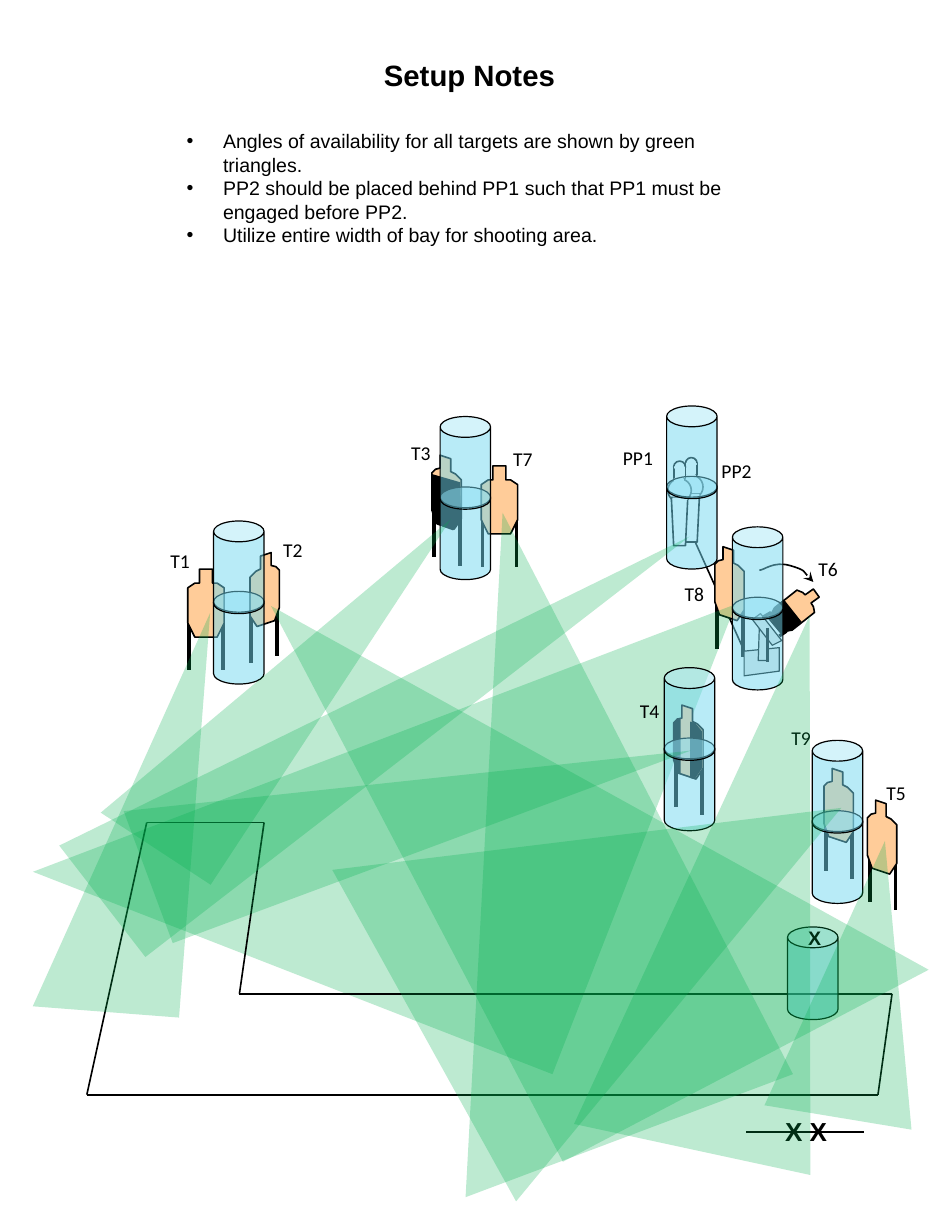
"""Build the stage setup notes slide with its target and visibility diagram."""
from lxml import etree
from pptx import Presentation
from pptx.dml.color import RGBColor
from pptx.enum.shapes import MSO_CONNECTOR, MSO_SHAPE
from pptx.enum.text import MSO_ANCHOR, PP_ALIGN
from pptx.oxml.ns import qn
from pptx.util import Inches, Pt

STRAIGHT = MSO_CONNECTOR.STRAIGHT
CAN, TRIANGLE = MSO_SHAPE.CAN, MSO_SHAPE.ISOSCELES_TRIANGLE
OVAL, RECT = MSO_SHAPE.OVAL, MSO_SHAPE.RECTANGLE
LEFT, CENTER, TOP = PP_ALIGN.LEFT, PP_ALIGN.CENTER, MSO_ANCHOR.TOP
BLACK, WHITE = RGBColor(0, 0, 0), RGBColor(255, 255, 255)
TAN, GRAY = RGBColor(0xFF, 0xCC, 0x99), RGBColor(0xE7, 0xE6, 0xE6)
BLUE, GREEN = RGBColor(0x73, 0xD9, 0xF1), RGBColor(0x00, 0xB0, 0x50)

TITLE = "Setup Notes"
NOTES = [
    "Angles of availability for all targets are shown by green triangles.",
    "PP2 should be placed behind PP1 such that PP1 must be engaged before PP2.",
    "Utilize entire width of bay for shooting area.",
]

FRONT = [(.1, 0), (.21, 0), (.21, .12), (.25, .12), (.31, .16), (.31, .46), (.25, .58),
         (.06, .58), (0, .46), (0, .16), (.06, .12), (.1, .12)]
ANGLED = [(.16, .03), (.07, 0), (.07, .11), (.03, .12), (0, .15), (0, .47), (.04, .58),
          (.19, .63), (.25, .54), (.25, .21), (.2, .16), (.16, .14)]
MIRRORED = [(.25 - x, y) for x, y in ANGLED]
TARGETS = {
    "front": (FRONT, [(.01, .43), (.3, .43)]),
    "angled": (ANGLED, [(.24, .51), (.02, .44)]),
    "mirrored": (MIRRORED, [(.01, .51), (.23, .45)]),
}
LOWER_BLACK = [(.25, .55), (.18, .64), (.04, .59), (0, .46), (0, .16), (.24, .23)]
RIGHT_BLACK = [(.24, .54), (.18, .63), (.14, .62), (.14, .14), (.18, .15), (.24, .22)]
LEFT_BLACK = [(.06, .11), (.03, .11), (0, .15), (0, .46), (.03, .57), (.06, .59)]

STAND = [
    [(6.64, 5.52), (6.34, 5.55), (6.34, 5.76), (6.64, 5.72)],
    [(6.54, 5.41), (6.54, 5.63), (6.46, 5.63), (6.47, 5.33)],
    [(6.48, 5.23), (6.66, 5.46), (6.58, 5.5), (6.41, 5.28)],
]
STAND_RODS = [((6.57, 5.22), (6.5, 5.26), 2), ((6.7, 5.38), (6.64, 5.42), 2),
              ((6.54, 5.35), (6.54, 5.64), 2.25)]
SWING = [(6.47, 4.86), (6.51, 4.86), (6.59, 4.78), (6.73, 4.82),
         (6.87, 4.86), (6.89, 4.93), (6.93, 4.96)]
FALLEN = [(6.93, 5.02), (6.98, 5.09), (6.91, 5.14), (6.93, 5.17), (6.94, 5.22), (6.75, 5.37),
          (6.65, 5.39), (6.55, 5.27), (6.6, 5.18), (6.79, 5.03), (6.84, 5.05), (6.86, 5.07)]
FALLEN_BLACK = [(6.68, 5.11), (6.83, 5.3), (6.75, 5.37), (6.65, 5.39), (6.56, 5.27), (6.6, 5.18)]
BAY = [(.74, 9.33), (7.48, 9.33), (7.6, 8.47), (2.04, 8.47), (2.25, 7.01), (1.25, 7.01),
       (.74, 9.33)]

prs = Presentation()
prs.slide_width, prs.slide_height = Inches(8), Inches(10.5)
slide = prs.slides.add_slide(prs.slide_layouts[1])
canvas = slide.shapes


def write(shape, *texts, size=12, font="Calibri", bold=False, align=CENTER, bullet=False):
    frame = shape.text_frame
    frame.word_wrap, frame.vertical_anchor = True, TOP
    for index, text in enumerate(texts):
        para = frame.paragraphs[0] if index == 0 else frame.add_paragraph()
        para.alignment = align
        para.space_before, para.line_spacing = Pt(0), 1.0
        if bullet:
            props = para._p.get_or_add_pPr()
            props.set("marL", str(Inches(.31)))
            props.set("indent", str(-Inches(.31)))
            etree.SubElement(props, qn("a:buFont"), typeface="Arial")
            etree.SubElement(props, qn("a:buChar"), char="•")
        run = para.add_run()
        run.text = text
        run.font.size, run.font.name, run.font.bold = Pt(size), font, bold
        run.font.color.rgb = BLACK


def place(shape, *box):
    shape.left, shape.top, shape.width, shape.height = map(Inches, box)
    return shape


def style(shape, fill, line=BLACK, weight=1, alpha=None):
    shape.shadow.inherit = False
    if fill is None:
        shape.fill.background()
    else:
        shape.fill.solid()
        shape.fill.fore_color.rgb = fill
    if alpha:
        color = shape.fill._xPr.find(".//" + qn("a:srgbClr"))
        etree.SubElement(color, qn("a:alpha"), val=str(alpha * 1000))
    if line is None:
        shape.line.fill.background()
    else:
        shape.line.color.rgb, shape.line.width = line, Pt(weight)
    return shape


def preset(shapes, kind, box, fill, **look):
    return style(shapes.add_shape(kind, *map(Inches, box)), fill, **look)


def outline(shapes, points, fill, x=0, y=0, close=True, **look):
    spots = [(Inches(x + dx), Inches(y + dy)) for dx, dy in points]
    builder = shapes.build_freeform(*spots[0], scale=1.0)
    builder.add_line_segments(spots[1:], close=close)
    return style(builder.convert_to_shape(), fill, **look)


def rod(shapes, start, end, weight=1):
    line = shapes.add_connector(STRAIGHT, *map(Inches, (*start, *end)))
    line.line.color.rgb, line.line.width = BLACK, Pt(weight)
    etree.SubElement(line._element.spPr, qn("a:effectLst"))


def target(kind, x, y, *patches):
    shapes = canvas.add_group_shape().shapes
    body, legs = TARGETS[kind]
    for dx, dy in legs:
        rod(shapes, (x + dx, y + dy), (x + dx, y + dy + .43), 2.25)
    outline(shapes, body, TAN, x, y)
    for patch in patches:
        outline(shapes, patch, BLACK, x, y, line=None)


def can(shapes, x, y):
    preset(shapes, CAN, (x, y, .43, .79), BLUE, weight=.75, alpha=50).adjustments[0] = .413


def barrels(x, y):
    shapes = canvas.add_group_shape().shapes
    can(shapes, x, y + .6)
    can(shapes, x, y)


def popper(x, y):
    shapes = canvas.add_group_shape().shapes
    preset(shapes, OVAL, (x + .05, y, .1, .1), WHITE)
    preset(shapes, OVAL, (x, y + .15, .2, .2), WHITE)
    outline(shapes, [(.03, .31), (.17, .31), (.15, .72), (.05, .72)], WHITE, x, y)
    preset(shapes, RECT, (x + .05, y + .05, .1, .1), WHITE)
    preset(shapes, RECT, (x + .04, y + .31, .13, .02), WHITE, line=None)
    preset(shapes, RECT, (x + .06, y + .15, .07, .02), WHITE, line=WHITE)
    preset(shapes, RECT, (x + .06, y + .05, .08, .01), WHITE, line=WHITE)


def cone(x, y, width, height, turn, apex):
    shape = preset(canvas, TRIANGLE, (x, y, width, height), GREEN, line=None, alpha=26)
    shape.rotation, shape.adjustments[0] = turn, apex


def label(text, x, y, width=.51, height=.3, **look):
    write(canvas.add_textbox(*map(Inches, (x, y, width, height))), text, **look)


def swinger():
    shapes = canvas.add_group_shape().shapes
    for part in STAND:
        outline(shapes, part, GRAY, weight=.75)
    for start, end, weight in STAND_RODS:
        rod(shapes, start, end, weight)
    arc = outline(shapes, SWING, None, close=False)
    etree.SubElement(arc.line._get_or_add_ln(), qn("a:tailEnd"), type="stealth")
    segments = list(arc._element.iter(qn("a:lnTo")))
    for first in range(0, len(segments), 3):
        curve = etree.SubElement(segments[first].getparent(), qn("a:cubicBezTo"))
        for segment in segments[first:first + 3]:
            curve.append(segment[0])
            segment.getparent().remove(segment)


def fallen_target():
    shapes = canvas.add_group_shape().shapes
    outline(shapes, FALLEN, TAN)
    outline(shapes, FALLEN_BLACK, BLACK, line=None)


def bay():
    for start, end in zip(BAY, BAY[1:]):
        rod(canvas, start, end)
    rod(canvas, (7.36, 9.65), (6.36, 9.65))


SCENE = [
    (target, "front", 4.1, 3.97), (target, "angled", 7.02, 6.55),
    (target, "angled", 3.68, 3.88, LOWER_BLACK), (target, "front", 1.6, 4.85),
    (target, "mirrored", 2.13, 4.71), (rod, canvas, (5.91, 4.59), (6.4, 5.68)),
    (target, "angled", 6.09, 4.66), (barrels, 6.92, 6.31),
    (cone, .9, 4.14, 4.75, 4.3, 21.3, 1), (barrels, 3.75, 3.55), (barrels, 1.82, 4.44),
    (swinger,), (target, "angled", 7.39, 6.82), (bay,), (can, canvas, 6.71, 7.9),
    (popper, 5.79, 3.9), (fallen_target,),
    (label, "T1", 1.28, 4.63), (label, "T2", 2.24, 4.54), (label, "T3", 3.33, 3.71),
    (label, "T4", 5.28, 5.91), (label, "T6", 6.8, 4.7), (label, "PP1", 5.18, 3.75),
    (label, "PP2", 6.02, 3.86), (barrels, 6.24, 4.49), (popper, 5.69, 3.93),
    (barrels, 5.68, 3.46), (label, "T7", 4.2, 3.76), (label, "T9", 6.57, 6.14),
    (label, "T8", 5.66, 4.91), (target, "angled", 5.74, 6.01, RIGHT_BLACK, LEFT_BLACK),
    (barrels, 5.66, 5.69),
]
CONES = [
    (1.79, 3.81, 1.12, 3.73, 33.3, 1), (.41, 5.17, 1.25, 3.46, 4.4, 1),
    (3.35, 4.04, 3.52, 5.35, 332.3, 0), (2.59, 2.96, 1.2, 5.86, 52.3, 1),
    (2.87, 4.3, 1.2, 4.71, 69.6, 1), (5.36, 5.19, 2.06, 4.66, 12.2, .508),
    (6.7, 7.15, 1.27, 2.39, 9.4, .508), (3.77, 5.82, 3.23, 4.05, 61, .508),
    (2.93, 4.5, 2.98, 5.35, 339.4, .788),
]

write(place(canvas.title, 2, .44, 4, .4), TITLE, size=18, font="Arial", bold=True)
write(place(slide.placeholders[1], 1.49, 1.05, 5.02, 1.11), *NOTES,
      font="Arial", align=LEFT, bullet=True)
for draw, *details in SCENE:
    draw(*details)
label("X X", 6.59, 9.46, .58, .37, size=16, font="Arial", bold=True, align=LEFT)
label("X", 6.65, 7.84, .58, font="Arial", bold=True)
for details in CONES:
    cone(*details)
label("T5", 7.38, 6.61)
prs.save("out.pptx")
